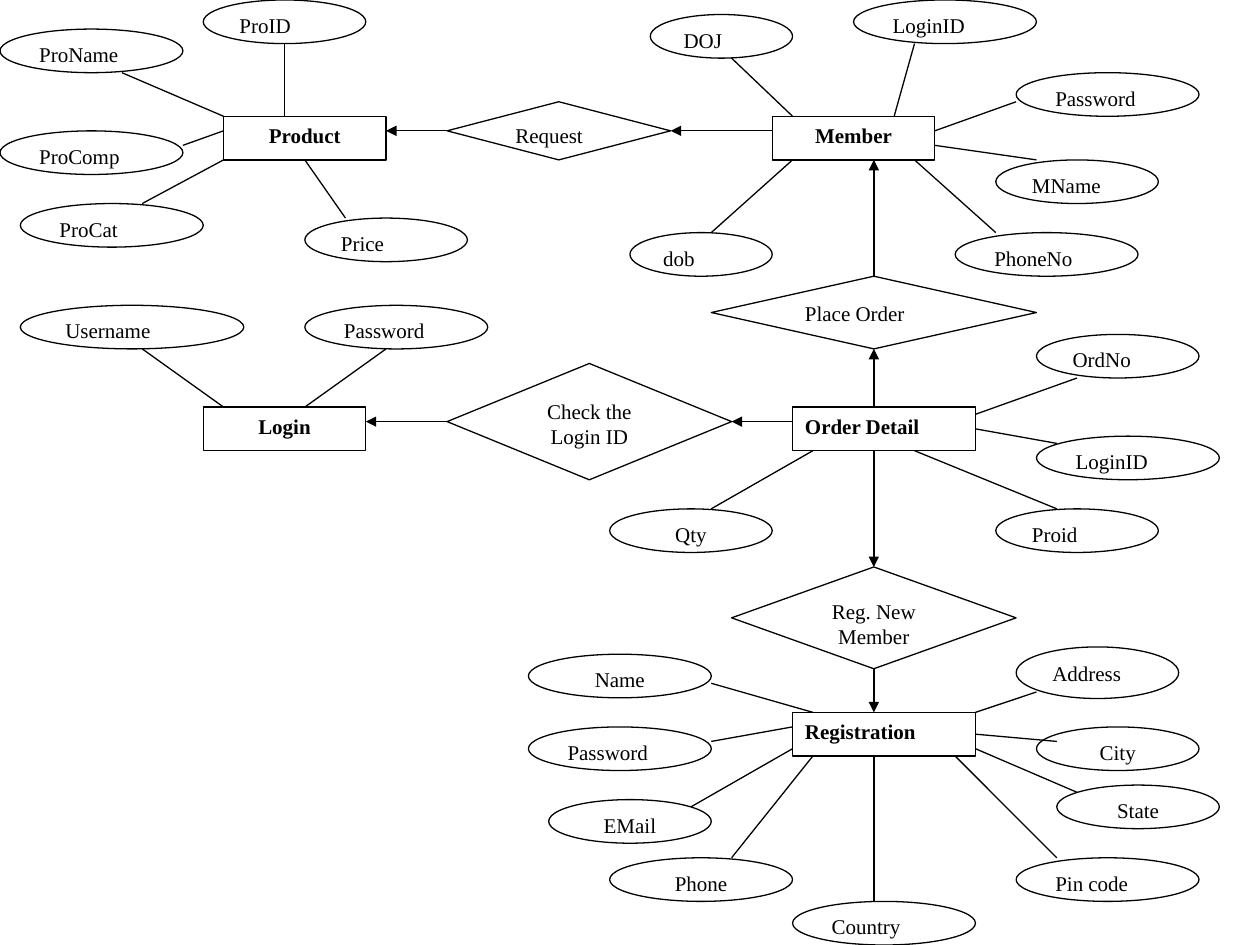
from lxml import etree
from pptx import Presentation, util as u
from pptx.dml.color import RGBColor
from pptx.enum import shapes, text
from pptx.oxml.ns import qn

BLACK = RGBColor(0, 0, 0)
WHITE = RGBColor(255, 255, 255)
FONT = "Times New Roman"
COL, ROW = 10 / 62, 7.5 / 65
LEFT, MID = text.PP_ALIGN.LEFT, text.PP_ALIGN.CENTER
KIND = shapes.MSO_SHAPE

ENTITIES = [
    ("Product", 11, 8, 8, 3, MID),
    ("Member", 38, 8, 8, 3, MID),
    ("Login", 10, 28, 8, 3, MID),
    ("Order Detail", 39, 28, 9, 3, LEFT),
    ("Registration", 39, 49, 9, 3, LEFT),
]
RELATIONS = [
    ("Request", 22, 7, 11, 4, LEFT),
    ("Place Order", 35, 19, 16, 5, LEFT),
    ("Check the Login ID", 22, 25, 14, 8, MID),
    ("Reg. New Member", 36, 39, 14, 7, MID),
]
FIELDS = [
    ("ProID", 10, 0, 8, 3, LEFT),
    ("ProName", 0, 2, 9, 3, LEFT),
    ("ProComp", 0, 9, 9, 3, LEFT),
    ("ProCat", 1, 14, 9, 3, LEFT),
    ("Price", 15, 15, 8, 3, LEFT),
    ("DOJ", 32, 1, 7, 3, LEFT),
    ("LoginID", 42, 0, 9, 3, LEFT),
    ("Password", 50, 5, 9, 3, LEFT),
    ("MName", 49, 11, 8, 3, LEFT),
    ("PhoneNo", 47, 16, 9, 3, LEFT),
    ("dob", 31, 16, 7, 3, LEFT),
    ("Username", 1, 21, 11, 3, LEFT),
    ("Password", 15, 21, 9, 3, LEFT),
    ("OrdNo", 51, 23, 8, 3, LEFT),
    ("LoginID", 51, 30, 9, 3, LEFT),
    ("Proid", 49, 35, 8, 3, LEFT),
    ("Qty", 30, 35, 8, 3, MID),
    ("Name", 26, 45, 9, 3, MID),
    ("Password", 26, 50, 9, 3, LEFT),
    ("EMail", 27, 55, 8, 3, MID),
    ("Phone", 30, 59, 9, 3, MID),
    ("Country", 39, 62, 9, 3, LEFT),
    ("Pin code", 50, 59, 9, 3, LEFT),
    ("State", 52, 54, 8, 3, MID),
    ("City", 51, 50, 8, 3, MID),
    ("Address", 50, 44.5, 8, 3.55, LEFT),
]
LINKS = [
    (14, 8, 14, 3), (11, 8, 6, 5), (11, 9, 9, 10), (11, 11, 7, 14),
    (15, 11, 17, 15),
    (39, 8, 36, 4), (44, 8, 45, 3), (46, 9, 50, 7), (46, 10, 51, 11),
    (45, 11, 49, 16), (39, 11, 35, 16),
    (11, 28, 7, 24), (19, 24, 15, 28),
    (40, 31, 35, 35), (45, 31, 52, 35), (48, 29.5, 52, 30.5),
    (48, 28.5, 53, 26),
    (40, 49, 35, 47), (39, 50, 35, 51), (39, 51.5, 34, 55.5),
    (40, 52, 36, 59), (43, 52, 43, 62), (47, 52, 52, 59),
    (48, 51.5, 53, 54.5), (48, 50.5, 52, 51), (48, 49, 51, 47.6),
]
ARROWS = [
    (22, 9, 19, 9), (38, 9, 33, 9), (43, 28, 43, 24), (43, 19, 43, 11),
    (22, 29, 18, 29), (39, 29, 36, 29), (43, 31, 43, 39), (43, 46, 43, 49),
]


def place(x, y):
    return u.Inches(x * COL), u.Inches(y * ROW)


def add_node(slide, kind, node, bold=False):
    label, x, y, w, h, align = node
    shape = slide.shapes.add_shape(kind, *place(x, y), *place(w, h))
    shape.shadow.inherit = False
    shape.fill.solid()
    shape.fill.fore_color.rgb = WHITE
    shape.line.color.rgb = BLACK
    shape.line.width = u.Pt(0.75)
    frame = shape.text_frame
    frame.word_wrap = True
    frame.vertical_anchor = text.MSO_ANCHOR.TOP
    para = frame.paragraphs[0]
    para.text = label
    para.alignment = align
    font = para.font
    font.name, font.size, font.bold = FONT, u.Pt(12), bold
    font.color.rgb = BLACK
    return shape


def add_ports(ports, shape, node):
    x, y, w, h = node[1:5]
    sides = [(x + w / 2, y), (x, y + h / 2),
             (x + w / 2, y + h), (x + w, y + h / 2)]
    for site, point in enumerate(sides):
        ports[point] = shape, site


def add_link(slide, ports, link, arrow=False):
    start, end = link[:2], link[2:]
    line = slide.shapes.add_connector(
        shapes.MSO_CONNECTOR.STRAIGHT, *place(*start), *place(*end))
    if start in ports:
        line.begin_connect(*ports[start])
    if end in ports:
        line.end_connect(*ports[end])
    line.line.color.rgb = BLACK
    line.line.width = u.Pt(0.75)
    if arrow:
        tail = etree.SubElement(line.line._get_or_add_ln(), qn("a:tailEnd"))
        tail.set("type", "triangle")
    etree.SubElement(line._element.spPr, qn("a:effectLst"))


def main():
    deck = Presentation()
    deck.slide_width, deck.slide_height = u.Inches(10), u.Inches(7.5)
    slide = deck.slides.add_slide(deck.slide_layouts[6])
    ports = {}
    for node in ENTITIES:
        add_ports(ports, add_node(slide, KIND.RECTANGLE, node, True), node)
    for node in RELATIONS:
        add_ports(ports, add_node(slide, KIND.DIAMOND, node), node)
    for node in FIELDS:
        add_node(slide, KIND.OVAL, node)
    for link in LINKS:
        add_link(slide, ports, link)
    for link in ARROWS:
        add_link(slide, ports, link, True)
    deck.save("out.pptx")


if __name__ == "__main__":
    main()
